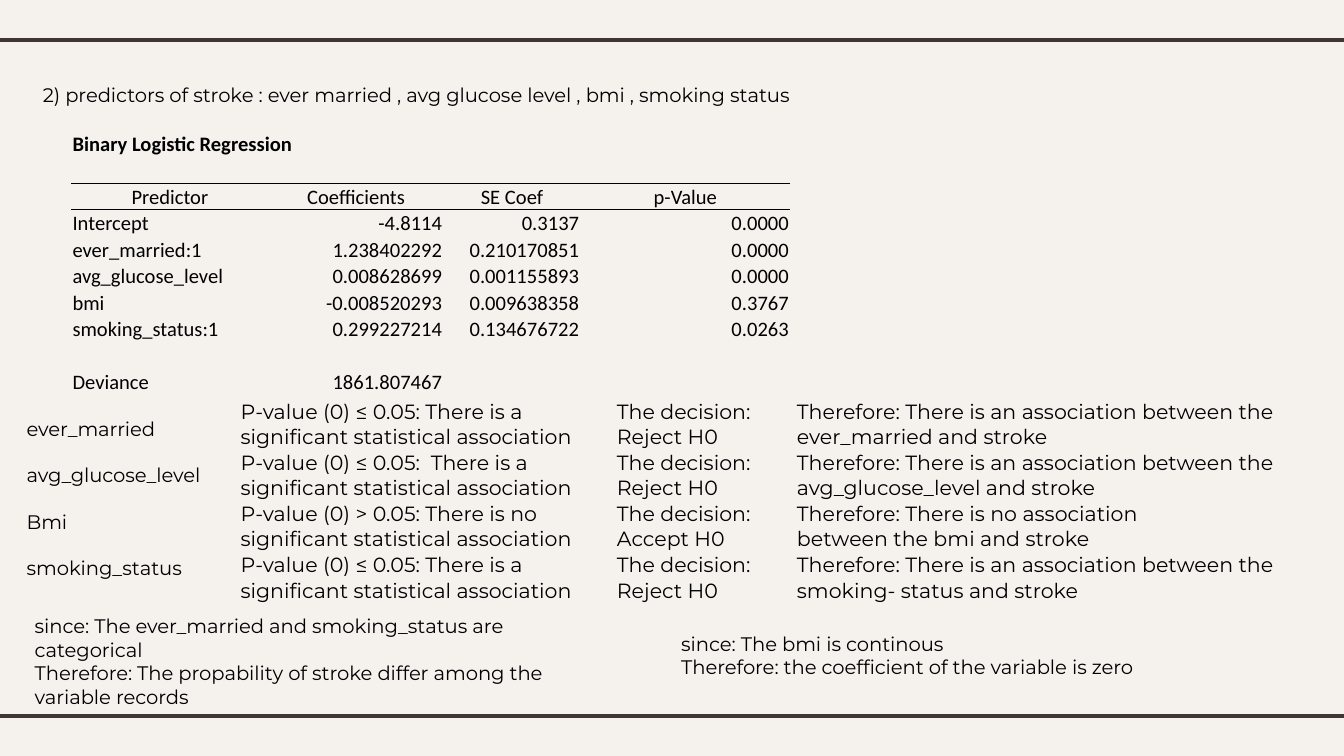
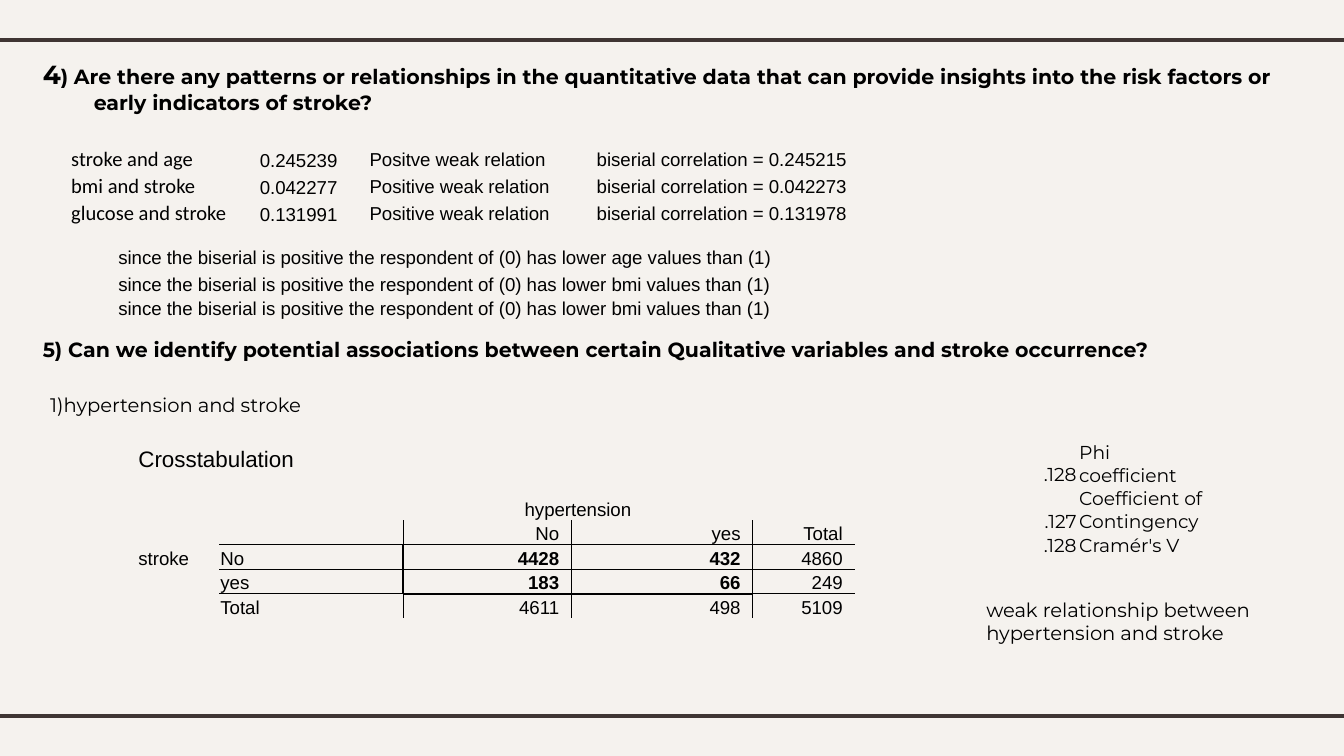
from collections import defaultdict

from lxml import etree
from pptx import Presentation
from pptx import util as u
from pptx.dml.color import RGBColor
from pptx.enum import shapes, text
from pptx.oxml.ns import qn

# Shared look; positions are (column, row, columns, rows) on a 0.1 inch grid
BACK, INK, BAND = "F5F2EE", "000000", "3F3533"
BODY, SHEET, PLAIN = "Montserrat", "Calibri", "Arial"
COLS, ROWS = 100, 56.25
NO_GRID = "{2D5ABB26-0587-4C30-8999-92F81FD0307C}"
ALIGN = {"l": text.PP_ALIGN.LEFT, "c": text.PP_ALIGN.CENTER, "r": text.PP_ALIGN.RIGHT}


def grid(n):
    return u.Inches(n / 10)


def color(hex_string):
    return RGBColor.from_string(hex_string)


def style(p, font, size, bold=False, align="l"):
    p.alignment = ALIGN[align]
    f = p.font
    f.name, f.size, f.bold = font, u.Pt(size), bold
    f.color.rgb = color(INK)


def add_band(s, row):
    line = s.shapes.add_connector(
        shapes.MSO_CONNECTOR.STRAIGHT, grid(-0.8), grid(row), grid(COLS + 0.8), grid(row))
    line.line.color.rgb = color(BAND)
    line.line.width = u.Pt(2.25)
    etree.SubElement(line._element.spPr, qn("a:effectLst"))


def new_slide(prs):
    s = prs.slides.add_slide(prs.slide_layouts[6])
    s.background.fill.solid()
    s.background.fill.fore_color.rgb = color(BACK)
    for row in (3, 53.3):
        add_band(s, row)
    return s


def add_text(s, box, paragraphs, size=10.5, bold=False, gap=0, hanging=False):
    tf = s.shapes.add_textbox(*map(grid, box)).text_frame
    tf.word_wrap = True
    for i, words in enumerate(paragraphs):
        p = tf.paragraphs[0] if i == 0 else tf.add_paragraph()
        p.add_run().text = words
        if hanging:
            pPr = p._p.get_or_add_pPr()
            pPr.set("marL", str(u.Inches(0.5)))
            pPr.set("indent", str(u.Inches(-0.38)))
        style(p, BODY, size, bold)
        if i and gap:
            p.space_before = u.Pt(gap)
    return tf


def add_table(s, at, widths, heights, rows, fonts, size, aligns, merges=()):
    """Plain table: fonts and aligns per column, merges as (row, first, last)."""
    tbl = s.shapes.add_table(len(rows), len(widths), *map(grid, at),
                             grid(sum(widths)), grid(sum(heights))).table
    tbl.first_row = tbl.horz_banding = False
    tbl._tbl.tblPr.find(qn("a:tableStyleId")).text = NO_GRID
    for column, width in zip(tbl.columns, widths):
        column.width = grid(width)
    for r, (row, height) in enumerate(zip(rows, heights)):
        tbl.rows[r].height = grid(height)
        for c, font in enumerate(fonts):
            cell = tbl.cell(r, c)
            cell.margin_left = cell.margin_right = cell.margin_top = u.Inches(0.01)
            cell.margin_bottom = 0
            cell.vertical_anchor = text.MSO_ANCHOR.BOTTOM
            cell.fill.background()
            p = cell.text_frame.paragraphs[0]
            if c < len(row) and row[c]:
                p.add_run().text = row[c]
            else:  # keeps empty rows as low as the filled ones
                end = etree.SubElement(p._p, qn("a:endParaRPr"))
                end.set("sz", str(size * 100))
            style(p, font, size, align=aligns[c])
    for r, first, last in merges:
        tbl.cell(r, first).merge(tbl.cell(r, last))
    return tbl


def restyle(tbl, r, c, font, size, bold=False, align="l"):
    style(tbl.cell(r, c).text_frame.paragraphs[0], font, size, bold, align)


def rule_table(tbl, across=(), down=()):
    """Rules as (boundary, first, last, points); every other edge stays clear."""
    edges = defaultdict(dict)
    for row, first, last, pt in across:
        for c in range(first, last + 1):
            edges[row - 1, c]["B"] = edges[row, c]["T"] = pt
    for col, first, last, pt in down:
        for r in range(first, last + 1):
            edges[r, col - 1]["R"] = edges[r, col]["L"] = pt
    for r in range(len(tbl.rows)):
        for c in range(len(tbl.columns)):
            tcPr = tbl.cell(r, c)._tc.get_or_add_tcPr()
            for i, side in enumerate("LRTB"):
                ln = etree.Element(qn("a:ln" + side))
                tcPr.insert(i, ln)
                pt = edges[r, c].get(side)
                if pt is None:
                    etree.SubElement(ln, qn("a:noFill"))
                else:
                    ln.set("w", str(u.Pt(pt)))
                    fill = etree.SubElement(ln, qn("a:solidFill"))
                    etree.SubElement(fill, qn("a:srgbClr"), val=INK)


def regression_slide(prs):
    s = new_slide(prs)
    add_text(s, (1, 5.7, 97.4, 3),
             ["2) predictors of stroke : ever married , avg glucose level , bmi , smoking status"],
             hanging=True)

    # Regression output
    rows = [
        ["Binary Logistic Regression"],
        [],
        ["Predictor", "Coefficients", "SE Coef", "p-Value"],
        ["Intercept", "-4.8114", "0.3137", "0.0000"],
        ["ever_married:1", "1.238402292", "0.210170851", "0.0000"],
        ["avg_glucose_level", "0.008628699", "0.001155893", "0.0000"],
        ["bmi", "-0.008520293", "0.009638358", "0.3767"],
        ["smoking_status:1", "0.299227214", "0.134676722", "0.0263"],
        [],
        ["Deviance", "1861.807467"],
    ]
    tbl = add_table(s, (5.3, 9.7), (14.7, 13, 10.2, 15.6), [1.97] * 10, rows,
                    [SHEET] * 4, 11, "lrrr", [(0, 0, 1)])
    restyle(tbl, 0, 0, SHEET, 11, bold=True)
    for c in range(4):
        restyle(tbl, 2, c, SHEET, 11, align="c")
    rule_table(tbl, across=[(2, 0, 3, 0.5), (3, 0, 3, 0.5)])

    # Decision for each predictor
    found = "P-value (0) ≤ 0.05: There is a significant statistical association"
    reject = "The decision: Reject H0"
    linked = "Therefore: There is an association between the {} and stroke"
    rows = [
        [found, reject, linked.format("ever_married")],
        [found.replace(": ", ":  "), reject, linked.format("avg_glucose_level")],
        ["P-value (0) > 0.05: There is no significant statistical association",
         "The decision: Accept H0",
         "Therefore: There is no association between the bmi and stroke"],
        [found, reject, linked.format("smoking- status")],
    ]
    add_table(s, (17.8, 29.6), (28, 13.4, 32.5, 8.1), [3.82] * 4, rows,
              [BODY] * 4, 11, "llll", [(r, 2, 3) for r in (0, 1, 3)])
    add_text(s, (1, 30.5, 26.2, 13.4),
             ["ever_married", "avg_glucose_level", "Bmi", "smoking_status"], gap=12.4)

    # Conclusions
    add_text(s, (1.6, 45.2, 42.1, 8.1),
             ["since: The ever_married and smoking_status are categorical",
              "Therefore: The propability of stroke differ among the variable records"])
    add_text(s, (49.7, 46.5, 41.5, 4.5),
             ["since: The bmi is continous",
              "Therefore: the coefficient of the variable is zero"])


def association_slide(prs):
    s = new_slide(prs)

    # Questions
    tf = add_text(s, (1, 3.85, 95.7, 5),
                  ["4"], 11, bold=True, hanging=True)
    p = tf.paragraphs[0]
    p.runs[0].font.size = u.Pt(14)
    p.add_run().text = (") Are there any patterns or relationships in the quantitative data that can "
                        "provide insights into the risk factors or early indicators of stroke?")
    add_text(s, (1, 24.6, 95.7, 3),
             ["5) Can we identify potential associations between certain Qualitative "
              "variables and stroke occurrence?"], 11, bold=True, hanging=True)
    add_text(s, (2.75, 28.75, 40, 3), ["1)hypertension and stroke"])

    # Correlations
    rows = [["stroke and age", "0.245239"],
            ["bmi and stroke", "0.042277"],
            ["glucose and stroke", "0.131991"]]
    tbl = add_table(s, (5.2, 10.8), (12.3, 7.7), [2] * 3, rows,
                    [SHEET, PLAIN], 11, "lr")
    for r in range(3):
        restyle(tbl, r, 1, PLAIN, 10, align="r")
    rows = [["Positve weak relation", "biserial correlation = 0.245215"],
            ["Positive weak relation", "biserial correlation = 0.042273"],
            ["Positive weak relation", "biserial correlation = 0.131978"]]
    add_table(s, (27.4, 10.7), (16.9, 19.2), [2] * 3, rows, [PLAIN] * 2, 10, "ll")
    rows = [[f"since the biserial is positive the respondent of (0) has lower {name} values than (1)"]
            for name in ("age", "bmi", "bmi")]
    add_table(s, (8.7, 18), (49.6,), (2, 2, 1.2), rows, [PLAIN], 10, "l")

    # Crosstabulation
    rows = [
        ["Crosstabulation"],
        [],
        ["", "", "", "hypertension"],
        ["", "", "", "No", "yes", "Total"],
        ["stroke", "No", "", "4428", "432", "4860"],
        ["", "yes", "", "183", "66", "249"],
        ["", "Total", "", "4611", "498", "5109"],
        [],
        [],
    ]
    tbl = add_table(s, (10.2, 33), (6.1, 6.1, 7.6, 12.5, 13.5, 7.6),
                    [1.8] * 3 + [1.83] * 6, rows,
                    [PLAIN] * 6, 10, "lllrrr", [(0, 0, 1), (2, 3, 4)])
    restyle(tbl, 0, 0, PLAIN, 12)
    restyle(tbl, 2, 3, PLAIN, 10, align="c")
    for r in range(3, 7):
        for c in range(3, 6):
            tbl.cell(r, c).margin_right = u.Inches(0.09)
            if r in (4, 5) and c < 5:
                restyle(tbl, r, c, PLAIN, 10, bold=True, align="r")
    frame_rows = [(row, *part) for row in (4, 6)
                  for part in ((1, 2, 0.5), (3, 4, 1), (5, 5, 0.5))]
    frame_cols = [(col, *part) for col in (3, 5)
                  for part in ((3, 3, 0.5), (4, 5, 1), (6, 6, 0.5))]
    rule_table(tbl, across=frame_rows + [(5, 1, 5, 0.5)],
               down=frame_cols + [(4, 3, 6, 0.5)])

    # Strength of the association
    rows = [[".128", "Phi coefficient"],
            [".127", "Coefficient of Contingency"],
            [".128", "Cramér's V"]]
    add_table(s, (72.4, 32.75), (7.8, 8.4, 4.7), (3.46, 3.46, 1.8), rows,
              [BODY] * 3, 10, "rll", [(1, 1, 2)])
    add_text(s, (72.4, 44, 25, 4.7), ["weak relationship between hypertension and stroke"])


def main():
    prs = Presentation()
    prs.slide_width, prs.slide_height = grid(COLS), grid(ROWS)
    regression_slide(prs)
    association_slide(prs)
    prs.save("out.pptx")


if __name__ == "__main__":
    main()
